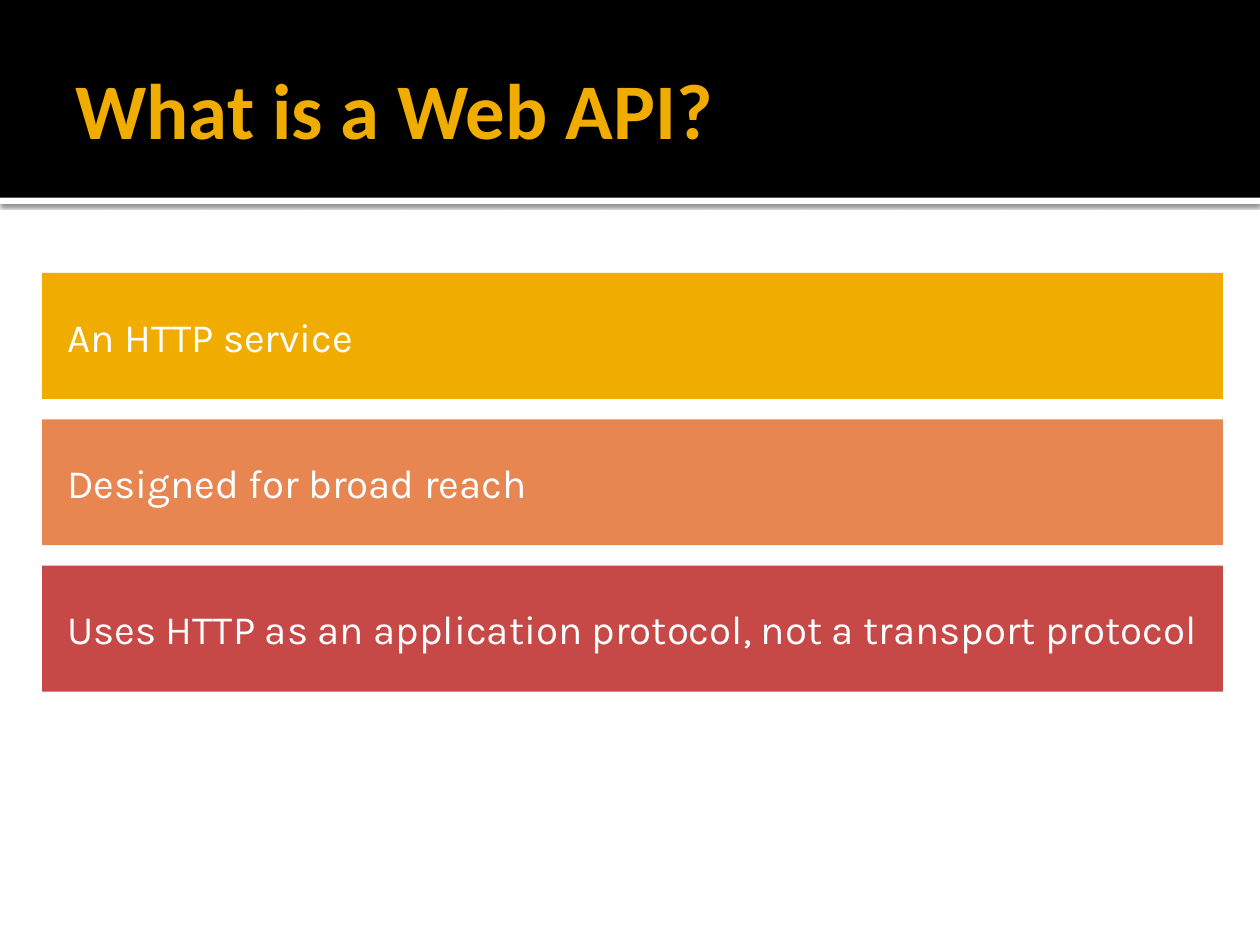
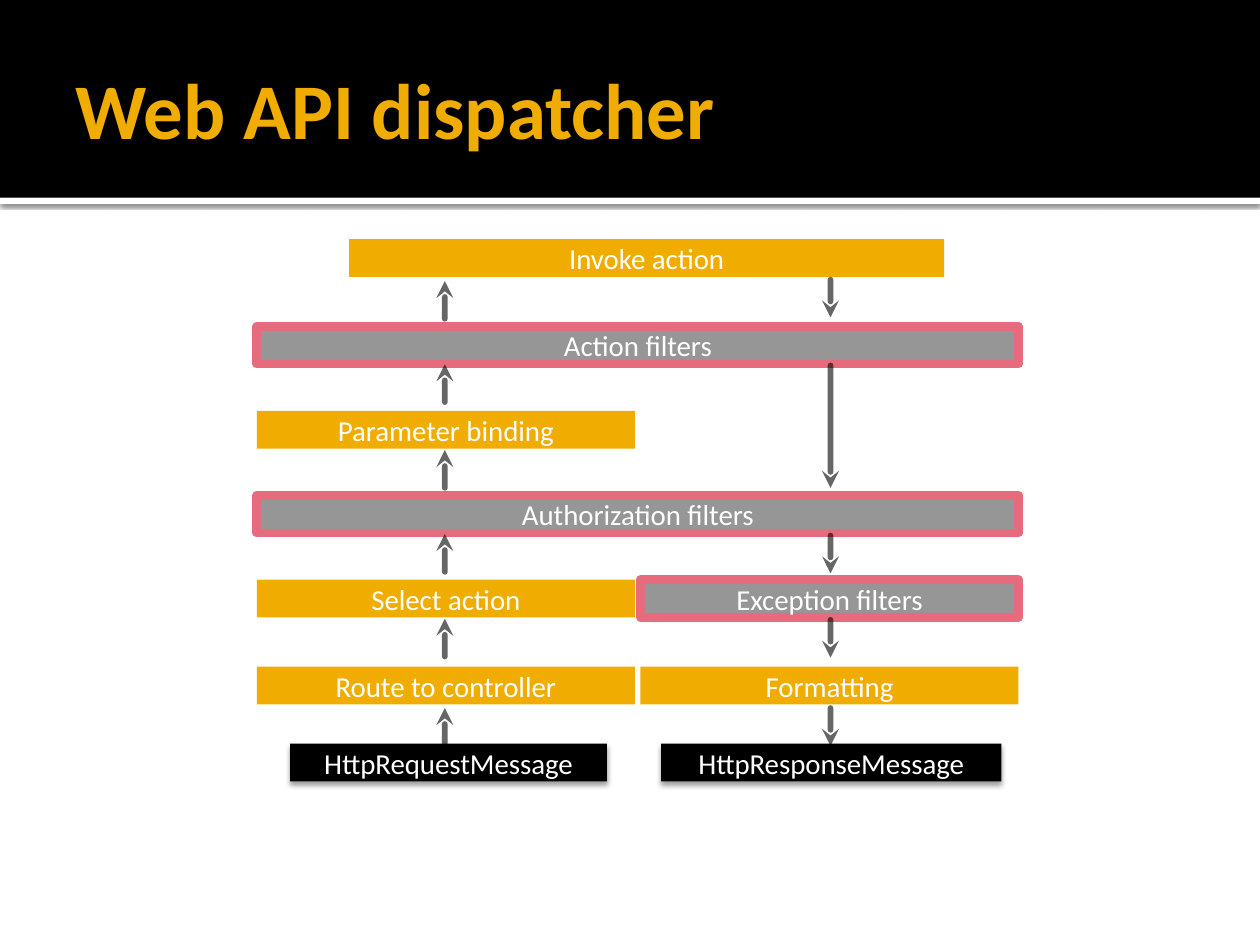
"""Build two slides on Web API basics and its dispatcher."""
from lxml import etree
from pptx import Presentation
from pptx.dml.color import RGBColor
from pptx.enum.shapes import MSO_CONNECTOR, MSO_SHAPE
from pptx.enum.text import MSO_ANCHOR, PP_ALIGN
from pptx.oxml.ns import qn
from pptx.util import Pt

RECT = MSO_SHAPE.RECTANGLE
LINE = MSO_CONNECTOR.STRAIGHT
MID = MSO_ANCHOR.MIDDLE
LEFT, MIDDLE = PP_ALIGN.LEFT, PP_ALIGN.CENTER
GOLD, ORANGE, RED = "F0AD00", "E88651", "C64847"
GREY, PINK, BLACK, WHITE = "969696", "E66C7D", "000000", "FFFFFF"

hue = RGBColor.from_string


def box(slide, place, fill, text="", size=16.5, face="Calibri", ink=WHITE,
        bold=False, align=MIDDLE, pads=(5, 3, 5, 3), edge=None, shade=None):
    shape = slide.shapes.add_shape(RECT, *[Pt(v) for v in place])
    shape.shadow.inherit = False
    if fill:
        shape.fill.solid()
        shape.fill.fore_color.rgb = hue(fill)
    else:
        shape.fill.background()
    if edge:
        shape.line.color.rgb = hue(edge)
        shape.line.width = Pt(5)
    else:
        shape.line.fill.background()
    if shade:
        alpha, blur, dist = shade
        effects = shape.element.spPr.find(qn("a:effectLst"))
        outer = etree.SubElement(effects, qn("a:outerShdw"), blurRad=str(Pt(blur)),
                                 dist=str(Pt(dist)), dir="5400000", rotWithShape="0")
        tone = etree.SubElement(outer, qn("a:srgbClr"), val=BLACK)
        etree.SubElement(tone, qn("a:alpha"), val=str(alpha * 1000))
    if text:
        frame = shape.text_frame
        frame.word_wrap = True
        frame.vertical_anchor = MID
        (frame.margin_left, frame.margin_top,
         frame.margin_right, frame.margin_bottom) = [Pt(v) for v in pads]
        para = frame.paragraphs[0]
        para.text = text
        para.alignment = align
        para.font.size = Pt(size)
        para.font.name = face
        para.font.bold = bold
        para.font.color.rgb = hue(ink)


deck = Presentation()
deck.slide_width, deck.slide_height = Pt(720), Pt(540)

pages = []
for title in ("What is a Web API?", "Web API dispatcher"):
    page = deck.slides.add_slide(deck.slide_layouts[6])
    box(page, (0, 113, 720, 3.6), WHITE, shade=(60, 2.5, 0.8))
    box(page, (0, 0, 720, 113), BLACK)
    box(page, (36, 12.2, 648, 98.6), None, title, 45, ink=GOLD, bold=True,
        align=LEFT, pads=(7.2, 3, 3.6, 3))
    pages.append(page)
intro, flow = pages

points = [
    ("An HTTP service", GOLD),
    ("Designed for broad reach", ORANGE),
    ("Uses HTTP as an application protocol, not a transport protocol", RED),
]
for i, (text, fill) in enumerate(points):
    box(intro, (24, 156 + i * 83.6, 674.8, 72), fill, text, 23, "Karla",
        align=LEFT, pads=(14.4, 3.6, 7.2, 3.6))

COL1, COL2, HALF, FULL = 146.8, 366, 216, 435.4
ROWS = (136.6, 186.5, 234.8, 283, 331.2, 381, 425)
HIGH = 21.6

steps = [
    ("Invoke action", 0, 199.5, 340),
    ("Parameter binding", 2, COL1, HALF),
    ("Select action", 4, COL1, HALF),
    ("Route to controller", 5, COL1, HALF),
    ("Formatting", 5, COL2, HALF),
]
for text, row, left, width in steps:
    box(flow, (left, ROWS[row], width, HIGH), GOLD, text)

filters = [
    ("Action filters", 1, COL1, FULL),
    ("Authorization filters", 3, COL1, FULL),
    ("Exception filters", 4, COL2, HALF),
]
for text, row, left, width in filters:
    box(flow, (left, ROWS[row], width, HIGH), GREY, text, edge=PINK)

ends = [("HttpRequestMessage", 165.8, 181), ("HttpResponseMessage", 377.8, 194.4)]
for text, left, width in ends:
    box(flow, (left, ROWS[6], width, HIGH), BLACK, text, pads=(5, 5, 5, 5),
        shade=(38, 3.1, 2))

UP, DOWN, SPAN = 254.2, 474.6, 21.6
arrows = [(UP, low, low - SPAN) for low in (182.2, 229.8, 278.8, 326.8, 375.2, 426.2)]
arrows += [(DOWN, top, top + SPAN) for top in (159.8, 306, 354.2, 404.6)]
arrows.append((DOWN, 208.8, 278.8))
for x, start, end in arrows:
    arrow = flow.shapes.add_connector(LINE, Pt(x), Pt(start), Pt(x), Pt(end))
    arrow.line.width = Pt(3.25)
    arrow.line.color.rgb = hue(BLACK)
    props = arrow.element.spPr
    stroke = props.find(qn("a:ln"))
    stroke.set("cap", "rnd")
    tone = stroke.find(".//" + qn("a:srgbClr"))
    etree.SubElement(tone, qn("a:alpha"), val="60000")
    etree.SubElement(stroke, qn("a:tailEnd"), type="stealth")
    etree.SubElement(props, qn("a:effectLst"))

deck.save("out.pptx")
